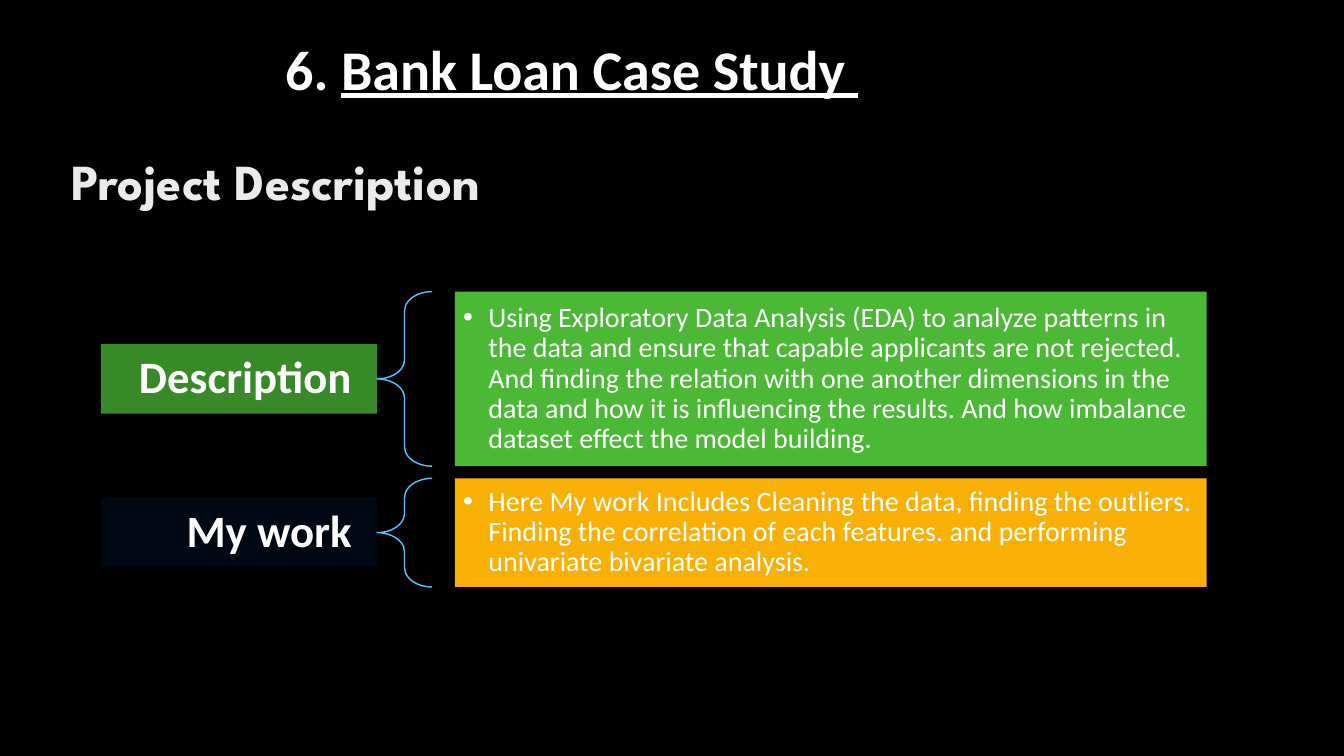
"""Build the bank loan case study slide."""
from pptx import Presentation
from pptx.dml.color import RGBColor
from pptx.enum.shapes import MSO_SHAPE as SHAPE
from pptx.enum.text import MSO_ANCHOR as ANCHOR, PP_ALIGN as ALIGN
from pptx.oxml.ns import qn
from pptx.util import Pt
from lxml.etree import SubElement

TITLE = [("6. ", False), ("Bank Loan Case Study ", True)]
HEAD = "Project Description"
ROWS = [
    ("Description", "388A29", "4BB836", 124.7,
     "Using Exploratory Data Analysis (EDA) to analyze patterns in the data and "
     "ensure that capable applicants are not rejected. And finding the relation "
     "with one another dimensions in the data and how it is influencing the "
     "results. And how imbalance dataset effect the model building."),
    ("My work", "000814", "F8B004", 77.6,
     "Here My work Includes Cleaning the data, finding the outliers. Finding the "
     "correlation of each features. and performing univariate bivariate analysis."),
]
WHITE, PALE, SKY = "FFFFFF", "EBEBEB", "56C5FF"
LEFT, TOP, GAP = 72, 208.3, 8.7
LABEL_W, LABEL_H = 197.3, 49.7
BRACE_W, BODY_X, BODY_W = 39.4, 324.9, 537.1


def color(code):
    return RGBColor.from_string(code)


def style(obj, **vals):
    for name, val in vals.items():
        setattr(obj, name, val)


def write(par, text, size, code=WHITE, face="Calibri", **vals):
    run = par.add_run()
    run.text = text
    style(run.font, size=Pt(size), name=face, **vals)
    run.font.color.rgb = color(code)


def text_box(x, y, w, h, anchor):
    frame = slide.shapes.add_textbox(Pt(x), Pt(y), Pt(w), Pt(h)).text_frame
    style(frame, word_wrap=True, vertical_anchor=anchor)
    return frame.paragraphs[0]


def panel(x, y, w, h, fill, side, edge, align):
    box = slide.shapes.add_shape(SHAPE.RECTANGLE, Pt(x), Pt(y), Pt(w), Pt(h))
    box.shadow.inherit = False
    box.fill.solid()
    box.fill.fore_color.rgb = color(fill)
    box.line.fill.background()
    frame = box.text_frame
    style(frame, word_wrap=True, vertical_anchor=ANCHOR.MIDDLE,
          margin_left=Pt(side), margin_right=Pt(side),
          margin_top=Pt(edge), margin_bottom=Pt(edge))
    par = frame.paragraphs[0]
    style(par, alignment=align, line_spacing=0.9)
    return par


def bullet(par, indent):
    props = par._p.get_or_add_pPr()
    props.set("marL", str(Pt(indent)))
    props.set("indent", str(Pt(-indent)))
    SubElement(props, qn("a:buFont")).set("typeface", "Arial")
    SubElement(props, qn("a:buChar")).set("char", "•")


def brace(x, y, w, h):
    mark = slide.shapes.add_shape(SHAPE.LEFT_BRACE, Pt(x), Pt(y), Pt(w), Pt(h))
    mark.shadow.inherit = False
    mark.adjustments[0] = 0.35
    mark.adjustments[1] = 0.5
    mark.fill.background()
    mark.line.color.rgb = color(SKY)
    mark.line.width = Pt(1)


deck = Presentation()
style(deck, slide_width=Pt(960), slide_height=Pt(540))
slide = deck.slides.add_slide(deck.slide_layouts[6])
slide.background.fill.solid()
slide.background.fill.fore_color.rgb = color("000000")

par = text_box(196.6, 20.9, 480, 55.4, ANCHOR.TOP)
for text, under in TITLE:
    write(par, text, 40, bold=True, underline=under)
par = text_box(43.9, 100, 393.8, 57.6, ANCHOR.MIDDLE)
write(par, HEAD, 36, PALE, "League Spartan", bold=True)

y = TOP
for name, dark, fill, high, text in ROWS:
    mid = y + (high - LABEL_H) / 2
    par = panel(LEFT, mid, LABEL_W, LABEL_H, dark, 18, 6.5, ALIGN.RIGHT)
    write(par, name, 32, bold=True)
    brace(LEFT + LABEL_W, y, BRACE_W, high)
    par = panel(BODY_X, y, BODY_W, high, fill, 6, 6, ALIGN.LEFT)
    bullet(par, 18)
    write(par, text, 20)
    y += high + GAP

deck.save("out.pptx")
